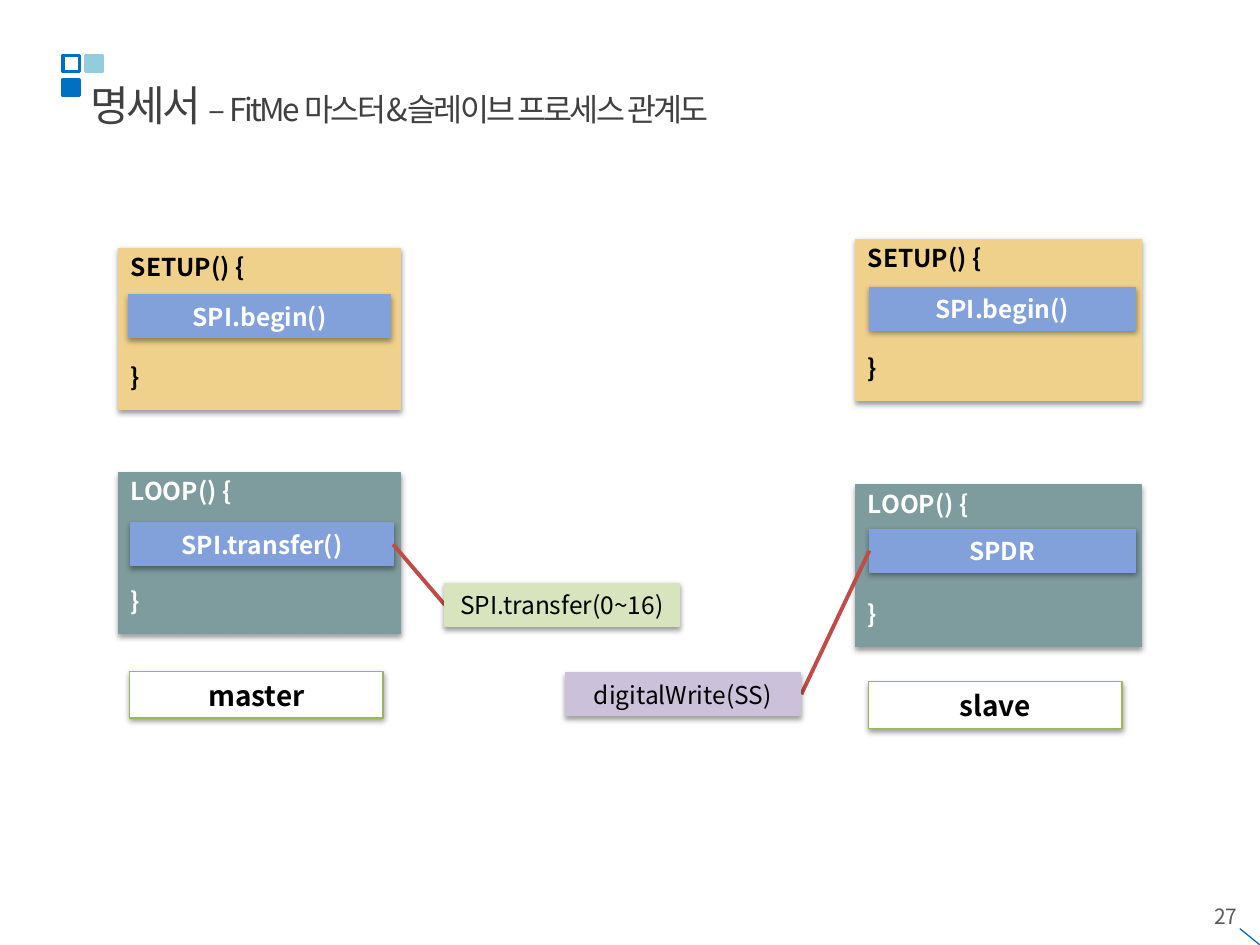
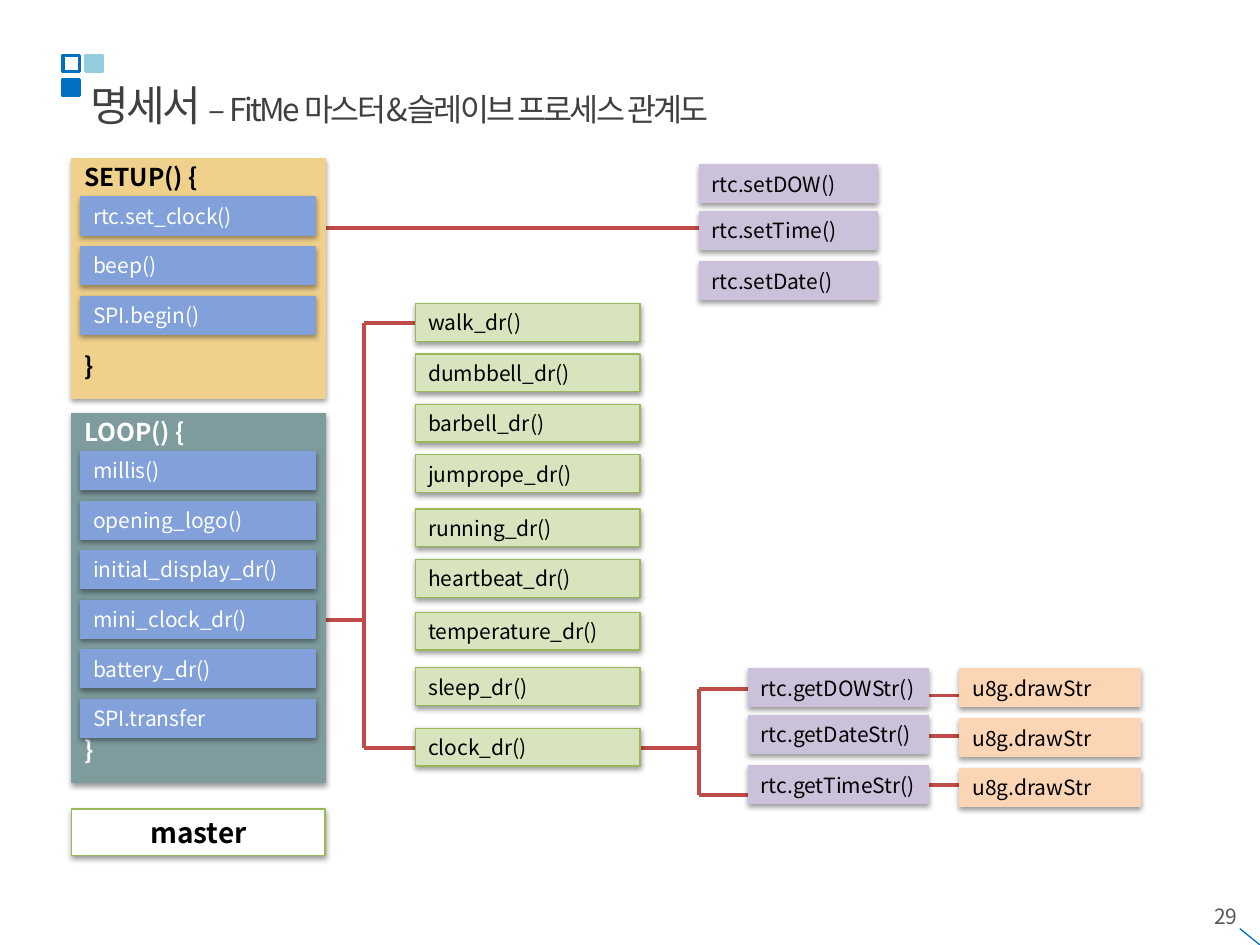
from lxml import etree
from pptx import Presentation
from pptx import util as u
from pptx.dml import color
from pptx.enum import shapes, text
from pptx.oxml import ns

# Grid of 100 columns by 75 rows over the slide
WIDE, HIGH = u.Inches(10), u.Inches(7.5)
COL, ROW = WIDE / 100, HIGH / 75
FONT = "Noto Sans CJK KR"
BLUE, AQUA, RED, GREY = "0070C0", "93CDDD", "BF4C48", "595959"
GOLD, TEAL, SKY = "F0D18C", "7E9B9E", "82A1DA"
LILAC, LEAF, MOSS, PEACH = "CCC1DA", "D7E4BD", "98B955", "FCD5B5"
BLACK, WHITE, DARK = "000000", "FFFFFF", "404040"
MID, LEFT, RIGHT = (text.PP_ALIGN.CENTER, text.PP_ALIGN.LEFT,
                    text.PP_ALIGN.RIGHT)

# Looks: fill, line, ink and type of each kind of block
SETUP = dict(fill=GOLD, line=GOLD, ink=BLACK, size=14, bold=True, align=LEFT)
LOOP = dict(SETUP, fill=TEAL, line=TEAL, ink=WHITE)
CALL = dict(fill=SKY, line=SKY, ink=WHITE, size=12, bold=False, align=LEFT)
MAIN = dict(CALL, size=14, bold=True, align=MID)
DRAW = dict(CALL, fill=LEAF, line=MOSS, ink=BLACK)
CLOCK = dict(DRAW, fill=LILAC, line=LILAC)
PRINT = dict(DRAW, fill=PEACH, line=PEACH)
NAME = dict(fill=WHITE, line=MOSS, ink=BLACK, size=16, bold=True, align=MID)
SEND = dict(DRAW, line=LEAF, size=14, align=MID)
PICK = dict(SEND, fill=LILAC, line=LILAC)

CELL = 3      # height of a small block
STEP = 3.93   # pitch of the calls in a frame
TRIO = (0, 3.7, 7.7)


def rgb(code):
    return color.RGBColor.from_string(code)


def spot(box):
    x, y, w, h = box
    return [u.Emu(round(n)) for n in (x * COL, y * ROW, w * COL, h * ROW)]


def style(run, size, ink, bold=False):
    for key, val in dict(size=u.Pt(size), bold=bold, name=FONT).items():
        setattr(run.font, key, val)
    run.font.color.rgb = rgb(ink)
    etree.SubElement(run.font._element, ns.qn("a:ea"), typeface=FONT)


def setup(frame, **more):
    vals = dict(word_wrap=True, margin_top=0, margin_bottom=0,
                margin_left=COL, margin_right=0,
                vertical_anchor=text.MSO_ANCHOR.MIDDLE)
    for key, val in {**vals, **more}.items():
        setattr(frame, key, val)


def rect(pg, box, fill, line, width=0.75):
    shp = pg.shapes.add_shape(shapes.MSO_SHAPE.RECTANGLE, *spot(box))
    shp.shadow.inherit = False
    if fill:
        shp.fill.solid()
        shp.fill.fore_color.rgb = rgb(fill)
    else:
        shp.fill.background()
    shp.line.color.rgb = rgb(line)
    shp.line.width = u.Pt(width)
    return shp


def shade(shp):
    fx = shp._element.spPr.find(ns.qn("a:effectLst"))
    out = etree.SubElement(fx, ns.qn("a:outerShdw"), blurRad="40000",
                           dist="20000", dir="5400000", rotWithShape="0")
    ink = etree.SubElement(out, ns.qn("a:srgbClr"), val=BLACK)
    etree.SubElement(ink, ns.qn("a:alpha"), val="38000")


def block(pg, box, words, look):
    """Shadowed rectangle with one line of text."""
    shp = rect(pg, box, look["fill"], look["line"])
    shade(shp)
    setup(shp.text_frame)
    if look["align"] == MID:
        shp.text_frame.margin_left = 0
    para = shp.text_frame.paragraphs[0]
    para.alignment = look["align"]
    run = para.add_run()
    run.text = words
    style(run, look["size"], look["ink"], look["bold"])
    return shp


def frame(pg, box, head, look):
    """Function body: opening line on top, closing brace at the foot."""
    shp = block(pg, box, head, look)
    setup(shp.text_frame, margin_top=round(ROW * 0.3),
          vertical_anchor=text.MSO_ANCHOR.TOP)
    para = shp.text_frame.add_paragraph()
    para.alignment = LEFT
    para.space_before = u.Pt(round(box[3] * 7.2 - 46))
    run = para.add_run()
    run.text = "}"
    style(run, look["size"], look["ink"], look["bold"])


def stack(pg, box, tops, names, look):
    """Column of small blocks at the given rows below the box's top."""
    x, y, w = box
    for top, name in zip(tops, names):
        block(pg, (x, y + top, w, CELL), name, look)


def link(pg, x1, y1, x2, y2, ink=RED, width=2.25):
    ends = [u.Emu(round(n)) for n in (x1 * COL, y1 * ROW, x2 * COL, y2 * ROW)]
    con = pg.shapes.add_connector(shapes.MSO_CONNECTOR.STRAIGHT, *ends)
    con.line.color.rgb = rgb(ink)
    con.line.width = u.Pt(width)
    etree.SubElement(con._element.spPr, ns.qn("a:effectLst"))


def fork(pg, x, stem, tops, reach):
    """Stem from the left, a trunk, and an arm to the right at each top."""
    start, mid = stem
    link(pg, start, mid, x, mid)
    link(pg, x, tops[0], x, tops[-1])
    for top in tops:
        link(pg, x, top, reach, top)


def base(deck, page):
    """Title, corner squares and page number of every slide."""
    pg = deck.slides.add_slide(deck.slide_layouts[5])
    title = pg.shapes.title
    title.left, title.top, title.width, title.height = spot((6.2, 5.8, 85.9, 5))
    setup(title.text_frame, auto_size=text.MSO_AUTO_SIZE.NONE)
    para = title.text_frame.paragraphs[0]
    para.alignment = LEFT
    for words, size in (("명세서 ", 24),
                        ("– FitMe 마스터&슬레이브 프로세스 관계도", 18)):
        run = para.add_run()
        run.text = words
        style(run, size, DARK)
        run.font._element.set("spc", "-150")

    for x, y, fill, line in ((5, 6.3, BLUE, BLUE), (5, 4.4, None, BLUE),
                             (6.8, 4.4, AQUA, AQUA)):
        rect(pg, (x, y, 1.3, 1.3), fill, line, 2)
    link(pg, 100, 75, 98.4, 73.7, BLUE, 0.75)

    note = pg.shapes.add_textbox(*spot((75.9, 71.2, 23.3, 3.8))).text_frame
    setup(note, margin_top=round(ROW / 2), margin_right=COL,
          vertical_anchor=text.MSO_ANCHOR.TOP)
    note.paragraphs[0].alignment = RIGHT
    run = note.paragraphs[0].add_run()
    run.text = str(page)
    style(run, 12, GREY)
    return pg


def board(pg, box, loop, calls, name):
    """One device: setup frame, loop frame lower down, name at the foot."""
    x, y, w, h = box
    for top, head, look, (dx, dy, words) in zip(
            (y, y + loop), ("SETUP() {", "LOOP() {"), (SETUP, LOOP), calls):
        frame(pg, (x, top, w, 12.8), head, look)
        block(pg, (x + dx, top + dy, w - 1.6, 3.4), words, MAIN)
    block(pg, (x + w / 2 - 10.3, y + h - 3.7, 20.1, 3.7), name, NAME)


def pair(deck):
    """Both devices and the messages between them."""
    pg = base(deck, 27)
    board(pg, (9.4, 19.7, 22.4, 37.3), 17.8,
          ((0.8, 3.7, "SPI.begin()"), (1, 4, "SPI.transfer()")), "master")
    board(pg, (67.9, 19, 22.7, 38.8), 19.5,
          ((1.1, 3.8, "SPI.begin()"), (1.1, 3.5, "SPDR")), "slave")
    link(pg, 31.2, 43.2, 35.3, 48)
    link(pg, 63.6, 55.1, 69, 43.7)
    block(pg, (44.9, 53.4, 18.6, 3.4), "digitalWrite(SS)", PICK)
    block(pg, (35.3, 46.3, 18.6, 3.4), "SPI.transfer(0~16)", SEND)


def body(pg, box, head, look, calls):
    """Frame with an even list of calls."""
    x, y, w, h = box
    frame(pg, box, head, look)
    tops = [STEP * i for i in range(len(calls))]
    stack(pg, (x + 0.7, y + 3.05, w - 1.5), tops, calls, CALL)


def tree(deck):
    """Calls of the master, branching to the right."""
    pg = base(deck, 29)
    # Links lie behind the blocks
    link(pg, 25.8, 18.1, 55.5, 18.1)
    fork(pg, 28.9, (25.8, 49.2), (25.6, 59.4), 33)
    fork(pg, 55.5, (50.8, 59.4), (54.7, 63.1), 59.4)
    for y in (55.2, 58.4, 62.3):
        link(pg, 73.7, y, 76.2, y)

    # Master column
    body(pg, (5.7, 12.6, 20.1, 19), "SETUP() {", SETUP,
         ("rtc.set_clock()", "beep()", "SPI.begin()"))
    body(pg, (5.7, 32.8, 20.1, 29.3), "LOOP() {", LOOP,
         ("millis()", "opening_logo()", "initial_display_dr()",
          "mini_clock_dr()", "battery_dr()", "SPI.transfer"))
    block(pg, (5.7, 64.2, 20.1, 3.7), "master", NAME)

    # Drawing functions
    kinds = ("walk", "dumbbell", "barbell", "jumprope", "running",
             "heartbeat", "temperature", "sleep", "clock")
    stack(pg, (33, 24.1, 17.8), (0, 4, 8, 12, 16.3, 20.3, 24.5, 28.9, 33.7),
          [f"{kind}_dr()" for kind in kinds], DRAW)

    # Clock functions and their output
    stack(pg, (55.5, 13.1, 14.1), TRIO,
          [f"rtc.set{part}()" for part in ("DOW", "Time", "Date")], CLOCK)
    stack(pg, (59.4, 53.1, 14.3), TRIO,
          [f"rtc.get{part}Str()" for part in ("DOW", "Date", "Time")], CLOCK)
    stack(pg, (76.2, 53.1, 14.3), (0, 3.95, 7.9), ["u8g.drawStr"] * 3, PRINT)


def main():
    deck = Presentation()
    deck.slide_width, deck.slide_height = WIDE, HIGH
    pair(deck)
    tree(deck)
    deck.save("out.pptx")


if __name__ == "__main__":
    main()
